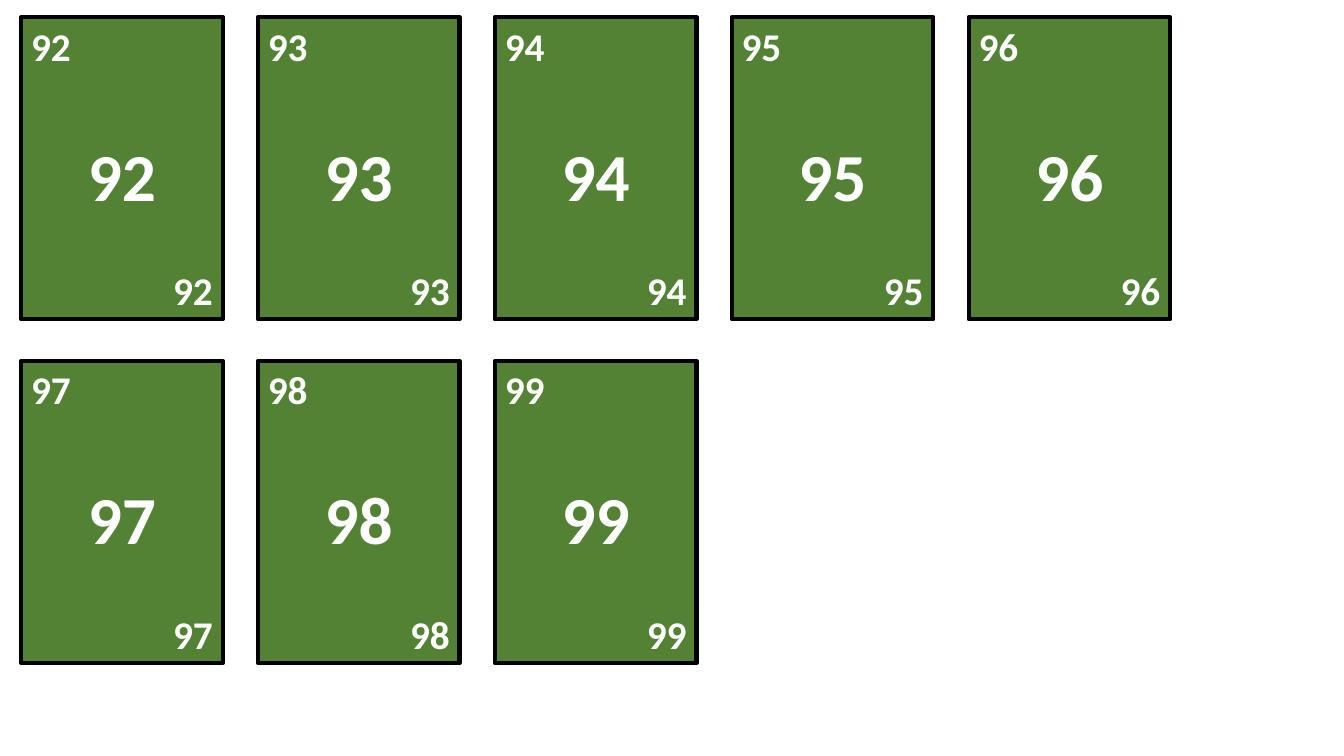
from dataclasses import dataclass

from pptx import Presentation
from pptx.dml.color import RGBColor as RGB
from pptx.enum.shapes import MSO_SHAPE as Preset
from pptx.enum.text import MSO_AUTO_SIZE as AutoSize, PP_ALIGN as Align
from pptx.util import Pt


@dataclass(frozen=True)
class Theme:
    font: str = "Calibri"
    card: RGB = RGB(0x54, 0x82, 0x35)
    border: RGB = RGB(0, 0, 0)
    number: RGB = RGB(0xFF, 0xFF, 0xFF)
    border_width: float = 3
    center_size: float = 48
    corner_size: float = 28


THEME = Theme()
CARD_WIDTH, CARD_HEIGHT = 144, 216
CENTER_TOP, CENTER_HEIGHT = 80, 65.4
CORNER_HEIGHT = 41.2
GRID_LEFT, GRID_TOP = 15.1, 12.2
COLUMN_STEP, ROW_STEP = 169.2, 245.5
COLUMNS = 5


def add_number(group, number, left, top, width, height, size, align):
    label = group.shapes.add_textbox(Pt(left), Pt(top), Pt(width), Pt(height))
    frame = label.text_frame
    frame.word_wrap = True
    frame.auto_size = AutoSize.SHAPE_TO_FIT_TEXT
    line = frame.paragraphs[0]
    line.text = str(number)
    line.alignment = align
    line.font.name = THEME.font
    line.font.size = Pt(size)
    line.font.bold = True
    line.font.color.rgb = THEME.number


def add_card(slide, number, left, top, width, height):
    group = slide.shapes.add_group_shape()

    # Card face
    face = group.shapes.add_shape(
        Preset.RECTANGLE, Pt(left), Pt(top), Pt(width), Pt(height))
    face.shadow.inherit = False
    face.fill.solid()
    face.fill.fore_color.rgb = THEME.card
    face.line.color.rgb = THEME.border
    face.line.width = Pt(THEME.border_width)

    # Number in the center, top left and bottom right
    for offset, label_height, size, align in (
        (CENTER_TOP, CENTER_HEIGHT, THEME.center_size, Align.CENTER),
        (0, CORNER_HEIGHT, THEME.corner_size, Align.LEFT),
        (height - CORNER_HEIGHT, CORNER_HEIGHT, THEME.corner_size, Align.RIGHT),
    ):
        add_number(group, number, left, top + offset, width, label_height,
                   size, align)


def add_card_grid(slide, numbers, left, top):
    for index, number in enumerate(numbers):
        row, column = divmod(index, COLUMNS)
        add_card(slide, number, left + column * COLUMN_STEP,
                 top + row * ROW_STEP, CARD_WIDTH, CARD_HEIGHT)


deck = Presentation()
deck.slide_width, deck.slide_height = Pt(960), Pt(540)
card_sheet = deck.slides.add_slide(deck.slide_layouts[6])
add_card_grid(card_sheet, range(92, 100), GRID_LEFT, GRID_TOP)
deck.save("out.pptx")
